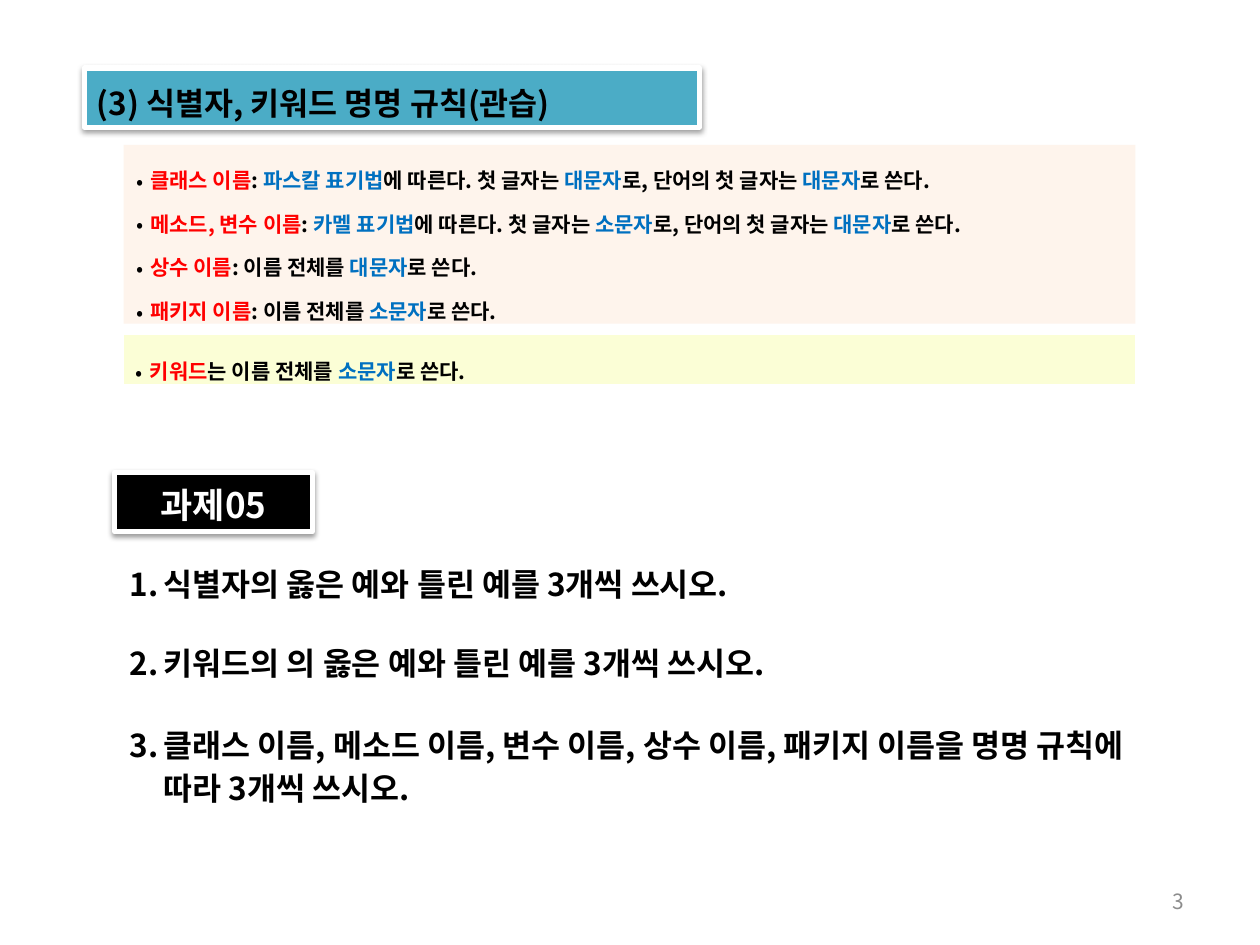
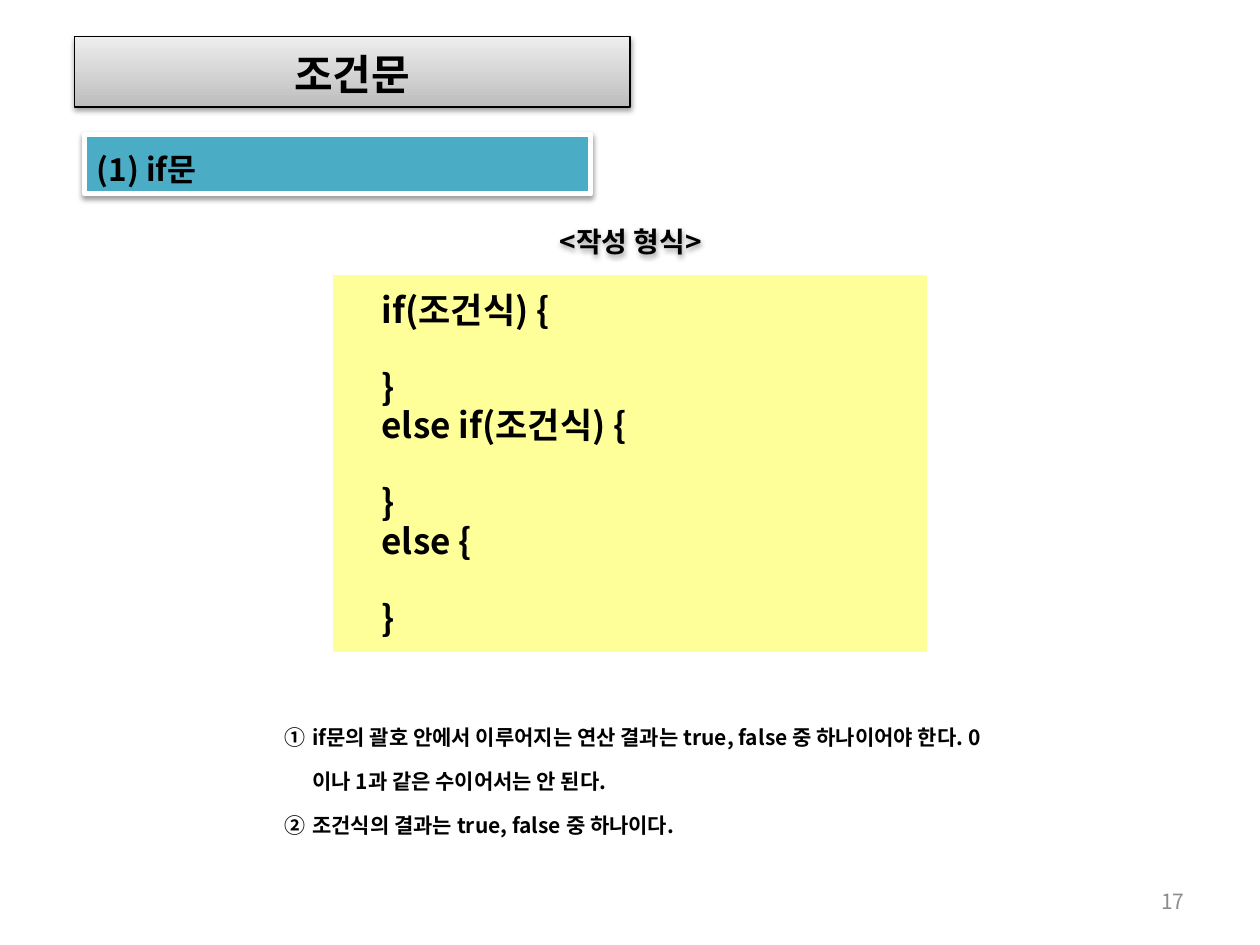
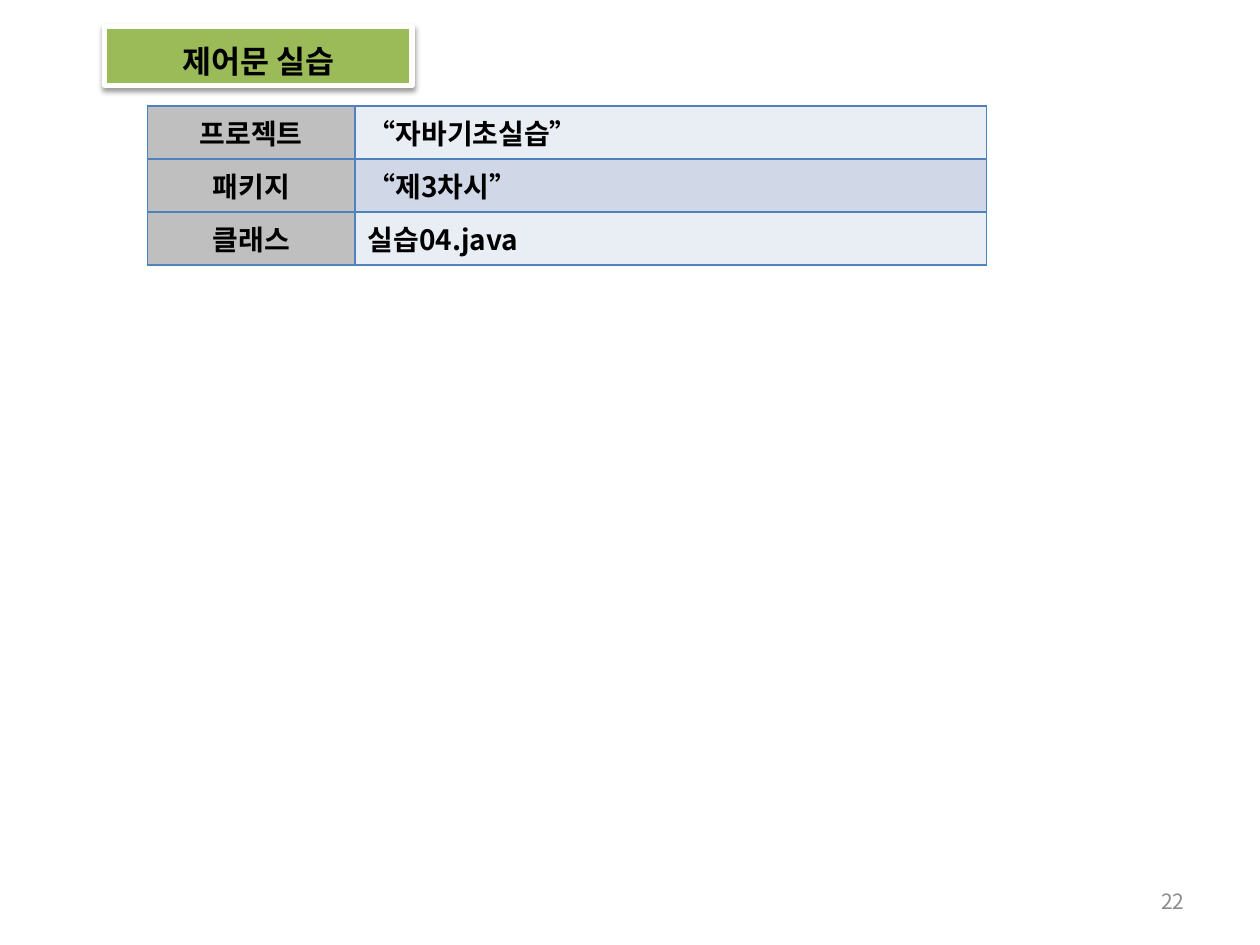
import pptx
import pptx.util
import pptx.dml.color
import pptx.enum.text
import pptx.enum.shapes
import pptx.oxml.ns
import lxml.etree

Pt = pptx.util.Pt
ALIGN = pptx.enum.text.PP_ALIGN
MIDDLE = pptx.enum.text.MSO_ANCHOR.MIDDLE
BLACK, WHITE, RED, BLUE = "000000", "FFFFFF", "FF0000", "0070C0"
TEAL, GREEN, EDGE, GREY = "4BACC6", "9BBB59", "4F81BD", "BFBFBF"


def color(hex):
    return pptx.dml.color.RGBColor.from_string(hex)


def add(parent, tag, **attrs):
    """Append a drawing element and return it."""
    node = lxml.etree.SubElement(parent, pptx.oxml.ns.qn("a:" + tag))
    for key, val in attrs.items():
        node.set(key, str(val))
    return node


class Deck:
    font = "Noto Sans CJK KR"

    def __init__(self):
        self.prs = pptx.Presentation()
        self.prs.slide_width, self.prs.slide_height = Pt(720), Pt(540)
        self.slide = None

    def page(self, layout, number):
        """Start a slide and put its number at the lower right."""
        self.slide = self.prs.slides.add_slide(self.prs.slide_layouts[layout])
        foot = self.slide.shapes.add_textbox(Pt(516), Pt(500.5), Pt(168), Pt(28.8))
        self.letter(foot, [str(number)], 12, ink="8C8C8C", bold=False, align=ALIGN.RIGHT, line=None)

    # Styling
    def style(self, run, size, ink, bold=True):
        run.font.name, run.font.size, run.font.bold = self.font, Pt(size), bold
        run.font.color.rgb = color(ink)
        add(run._r.get_or_add_rPr(), "ea", typeface=self.font)

    def mark(self, para, bullet, left, hang):
        props = para._p.get_or_add_pPr()
        props.set("marL", str(Pt(left)))
        props.set("indent", str(-Pt(hang)))
        if not bullet:
            add(props, "buNone")
            return
        add(add(props, "buClr"), "srgbClr", val=BLACK)
        add(props, "buFont", typeface=self.font)
        if bullet == "•":
            add(props, "buChar", char=bullet)
        else:
            add(props, "buAutoNum", type=bullet)

    def letter(self, shape, lines, size, ink=BLACK, bold=True, align=ALIGN.LEFT,
               line=25, bullet=None, left=0, hang=0, gaps=()):
        """Fill a shape with text; parts between bars are red, then blue."""
        frame = shape.text_frame
        frame.word_wrap, frame.vertical_anchor = True, MIDDLE
        frame.auto_size = pptx.enum.text.MSO_AUTO_SIZE.NONE
        frame.margin_left = frame.margin_right = Pt(7.2)
        frame.margin_top, frame.margin_bottom = Pt(5.8 if bold else 3.6), Pt(3.6)
        for row, text in enumerate(lines):
            para = frame.add_paragraph() if row else frame.paragraphs[0]
            para.alignment = align
            para.space_before = Pt(gaps[row] if gaps else 0)
            if line:
                para.line_spacing = Pt(line)
            self.mark(para, bullet, left, hang)
            for spot, part in enumerate(text.split("|")):
                if part:
                    run = para.add_run()
                    run.text = part
                    tint = ink if spot % 2 == 0 else RED if spot == 1 else BLUE
                    self.style(run, size, tint, bold)

    def paint(self, shape, fill, edge, width, shadow):
        if isinstance(fill, tuple):
            shape.fill.gradient()
            shape.fill.gradient_angle = 90
            for stop, tint in zip(shape.fill.gradient_stops, fill):
                stop.color.rgb = color(tint)
        elif fill:
            shape.fill.solid()
            shape.fill.fore_color.rgb = color(fill)
        else:
            shape.fill.background()
        if edge:
            shape.line.color.rgb, shape.line.width = color(edge), Pt(width)
        else:
            shape.line.fill.background()
        effects = add(shape._element.spPr, "effectLst")
        if shadow:
            cast = add(effects, "outerShdw", blurRad=Pt(3.1), dist=Pt(1.6),
                       dir=5400000, rotWithShape=0)
            add(add(cast, "srgbClr", val=BLACK), "alpha", val=38000)

    # Elements
    def box(self, area, lines, size, fill=None, edge=None, width=3,
            shadow=False, slot=None, **text):
        """Make a text panel, from a placeholder when a slot is given."""
        area = [Pt(n) for n in area]
        if slot is None:
            kind = pptx.enum.shapes.MSO_SHAPE.FLOWCHART_PROCESS
            shape = self.slide.shapes.add_shape(kind, *area)
        else:
            shape = self.slide.placeholders[slot]
            shape.left, shape.top, shape.width, shape.height = area
        self.paint(shape, fill, edge, width, shadow)
        self.letter(shape, lines, size, **text)

    def band(self, area, text, fill, size=18, edge=WHITE, **more):
        self.box(area, [text], size, fill=fill, edge=edge, shadow=True, **more)

    def table(self, left, top, widths, high, rows):
        area = [Pt(n) for n in (left, top, sum(widths), high * len(rows))]
        grid = self.slide.shapes.add_table(len(rows), len(widths), *area).table
        grid.first_row = False
        for col, wide in zip(grid.columns, widths):
            col.width = Pt(wide)
        for r, row in enumerate(rows):
            grid.rows[r].height = Pt(high)
            for c, text in enumerate(row):
                self.cell(grid.cell(r, c), text, c == 0, "D0D8E8" if r % 2 else "E9EDF4")

    def cell(self, cell, text, head, fill):
        props = cell._tc.get_or_add_tcPr()
        for side in "LRTB":
            rule = add(props, "ln" + side, w=Pt(1))
            add(add(rule, "solidFill"), "srgbClr", val=EDGE)
        cell.fill.solid()
        cell.fill.fore_color.rgb = color(GREY if head else fill)
        cell.vertical_anchor = MIDDLE
        cell.text_frame.text = text
        para = cell.text_frame.paragraphs[0]
        para.alignment = ALIGN.CENTER if head else ALIGN.LEFT
        self.style(para.runs[0], 16, BLACK)


def naming(deck):
    deck.page(3, 3)
    deck.band((48.2, 38.9, 351.4, 33.8), "(3) 식별자, 키워드 명명 규칙(관습)", TEAL, slot=0)

    # Naming rules
    rules = [
        "|클래스 이름|: |파스칼 표기법|에 따른다. 첫 글자는 |대문자|로, 단어의 첫 글자는 |대문자|로 쓴다.",
        "|메소드, 변수 이름|: |카멜 표기법|에 따른다. 첫 글자는 |소문자|로, 단어의 첫 글자는 |대문자|로 쓴다.",
        "|상수 이름|: 이름 전체를 |대문자|로 쓴다.",
        "|패키지 이름|: 이름 전체를 |소문자|로 쓴다.",
    ]
    dots = dict(bullet="•", left=8, hang=8)
    deck.box((70.6, 82.8, 578.2, 102.2), rules, 12, fill="FEF4EC", slot=1, **dots)
    deck.box((70.6, 191.5, 578.2, 28.1), ["|키워드|는 이름 전체를 |소문자|로 쓴다."],
             12, fill="FBFED6", **dots)

    # Homework
    deck.band((65.5, 270, 113, 33.8), "과제05", BLACK, size=20, ink=WHITE,
              align=ALIGN.CENTER, line=None)
    tasks = [
        "식별자의 옳은 예와 틀린 예를 3개씩 쓰시오.",
        "키워드의 의 옳은 예와 틀린 예를 3개씩 쓰시오.",
        "클래스 이름, 메소드 이름, 변수 이름, 상수 이름, 패키지 이름을 명명 규칙에 따라 3개씩 쓰시오.",
    ]
    deck.box((67, 315.4, 614.9, 147.6), tasks, 18, slot=2, bullet="arabicPeriod",
             left=19.4, hang=19.4, gaps=(0, 20.5, 21.5))


def branch(deck):
    deck.page(1, 17)
    deck.band((42.5, 20.9, 317.5, 40.3), "조건문", ("BDBDBD", "EEEEEE"), size=24,
              edge=BLACK, width=0.75, slot=0, align=ALIGN.CENTER, line=None)
    deck.band((48.2, 77, 289.4, 33.8), "(1) if문", TEAL)

    # Syntax
    deck.box((292.3, 122.4, 136.1, 22.3), ["<작성 형식>"], 16, shadow=True, align=ALIGN.CENTER)
    code = ["if(조건식) {", "}", "else if(조건식) {", "}", "else {", "}"]
    deck.box((190.1, 157, 339.8, 215.3), code, 20, fill="FFFF99", line=22, left=20.9,
             gaps=[22 if text == "}" else 0 for text in code])

    # Notes on the condition
    notes = [
        "if문의 괄호 안에서 이루어지는 연산 결과는 true, false 중 하나이어야 한다. 0이나 1과 같은 수이어서는 안 된다.",
        "조건식의 결과는 true, false 중 하나이다.",
    ]
    deck.box((155.5, 400.3, 425.5, 79.2), notes, 12, slot=1,
             bullet="circleNumDbPlain", left=15.8, hang=15.8)


def practice(deck):
    deck.page(5, 22)
    deck.band((59.8, 15.1, 175.7, 33.8), "제어문 실습", GREEN, slot=0, align=ALIGN.CENTER)
    deck.table(84.2, 60.5, (118.8, 360.7), 30.2, [
        ("프로젝트", "“자바기초실습”"),
        ("패키지", "“제3차시”"),
        ("클래스", "실습04.java"),
    ])


def main():
    deck = Deck()
    for build in (naming, branch, practice):
        build(deck)
    deck.prs.save("out.pptx")


if __name__ == "__main__":
    main()
